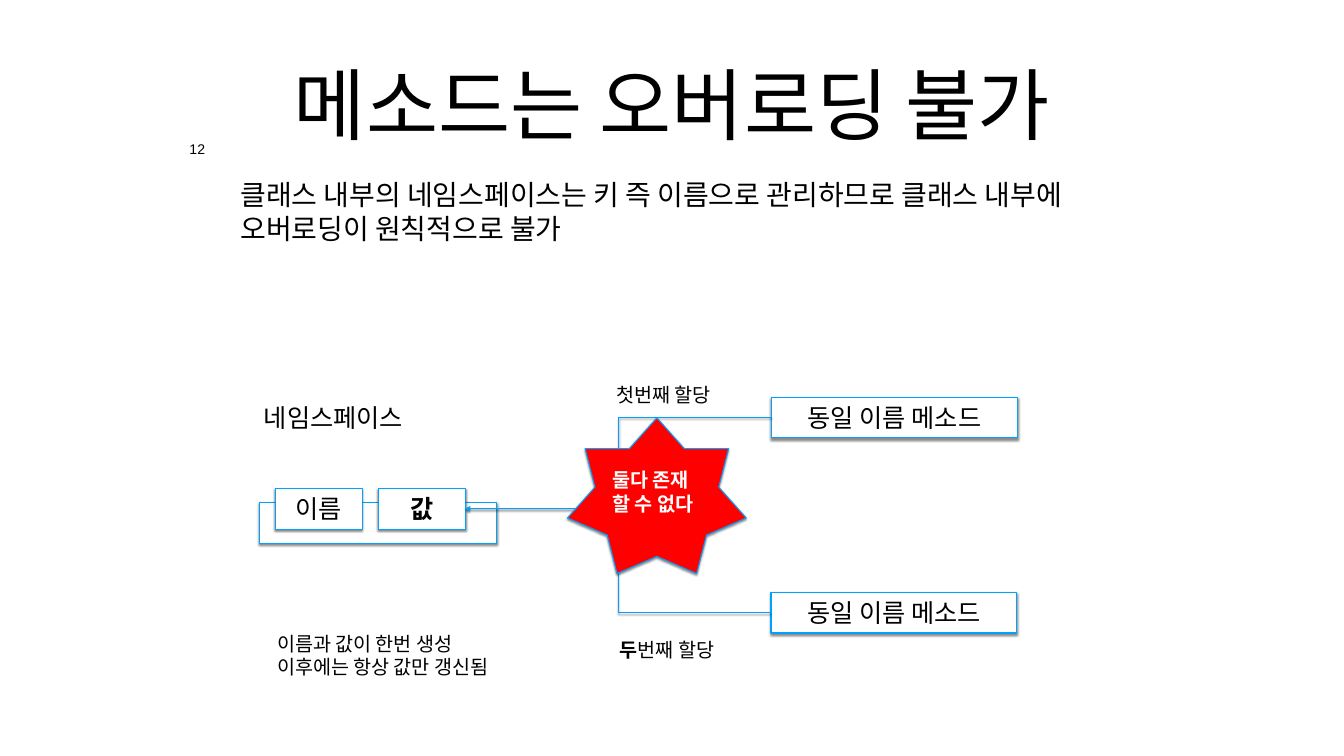
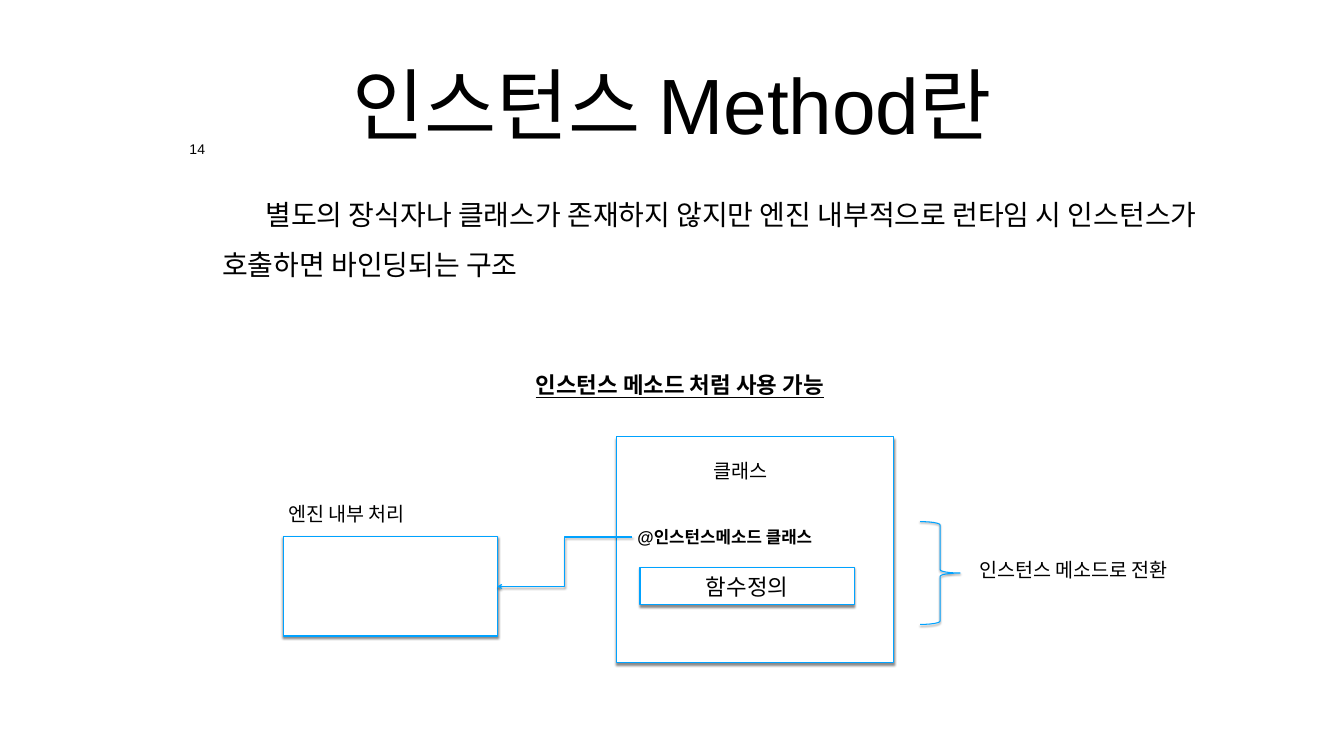
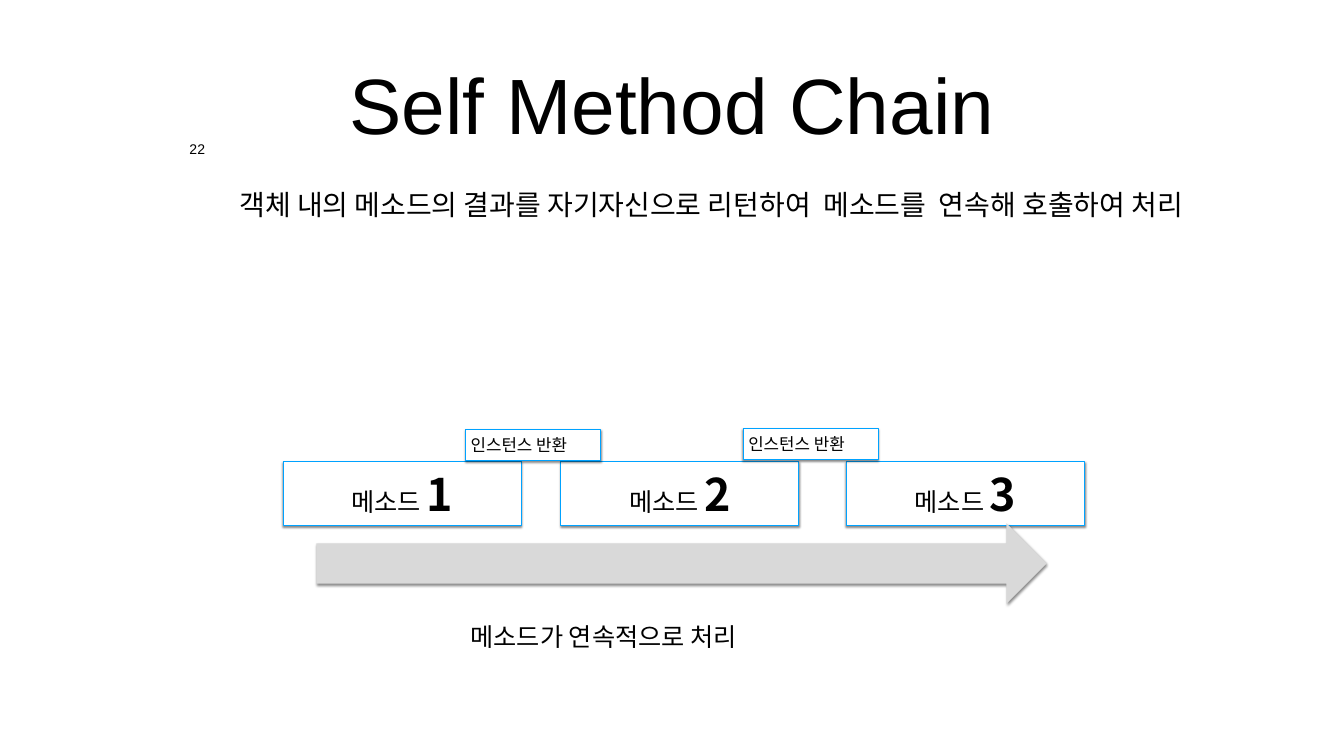
from lxml import etree
from pptx import Presentation
from pptx.dml.color import RGBColor
from pptx.enum.shapes import MSO_CONNECTOR, MSO_SHAPE as SHAPE
from pptx.enum.text import MSO_ANCHOR as ANCHOR, MSO_AUTO_SIZE as AUTO, PP_ALIGN as ALIGN
from pptx.oxml.ns import qn
from pptx.util import Inches, Pt

# Shared look
W, H = 26.67, 15
BLACK, WHITE, BLUE, RED, GREY = "000000", "FFFFFF", "00A2FF", "FF0000", "D9D9D9"
ARIAL, CJK, MONO = "Arial", "Noto Sans CJK KR", "Noto Sans Mono"
TITLE_BOX = (4.8, 0.39, 17.07, 3.32)
NUMBER_BOX = (3.68, 2.78, 0.47, 0.43)
TITLE_ONLY, TITLE_BODY = 5, 1

# Slide 1: same-named methods share one name slot
OVERLOAD = {
    "title": "메소드는 오버로딩 불가", "number": "12",
    "lead": "클래스 내부의 네임스페이스는 키 즉 이름으로 관리하므로 클래스 내부에 오버로딩이 원칙적으로 불가",
    "same_name": "동일 이름 메소드",
    "methods": [(15.31, 7.88), (15.3, 11.75)],
    "slots": [("이름", 5.46, False), ("값", 7.51, True)],
    "labels": [
        ("네임스페이스", (5.14, 7.88, 3.46, 0.81), 36),
        ("첫번째 할당", (12.13, 7.5, 2.83, 0.67), 28),
        ([("두", {"bold": True}), ("번째 할당", {})], (12.2, 12.56, 2.83, 0.67), 28),
        ("이름과 값이 한번 생성 이후에는 항상 값만 갱신됨", (5.4, 12.43, 4.43, 1.62), 28),
    ],
    "conflict": "둘다 존재 할 수 없다",
}

# Slide 2: how an instance method is bound
INSTANCE = {
    "title": "인스턴스 Method란", "number": "14",
    "body": "별도의 장식자나 클래스가 존재하지 않지만 엔진 내부적으로 런타임 시 인스턴스가 호출하면 바인딩되는 구조",
    "heading": "인스턴스 메소드 처럼 사용 가능",
    "engine": "엔진 내부 처리", "class": "클래스", "function": "함수정의",
    "decorator": "@인스턴스메소드 클래스", "result": "인스턴스 메소드로 전환",
}

# Slide 3: chained calls
CHAIN = {
    "title": "Self Method Chain", "number": "22",
    "body": "객체 내의 메소드의 결과를 자기자신으로 리턴하여  메소드를  연속해 호출하여 처리",
    "method": "메소드 ", "lefts": [5.62, 11.13, 16.8],
    "return": "인스턴스 반환", "return_tops": [8.52, 8.5],
    "caption": "메소드가 연속적으로 처리",
}


def rgb(color):
    return RGBColor.from_string(color)


def inches(box):
    return [Inches(v) for v in box]


def add_shadow(sp):
    effects = etree.SubElement(sp._element.spPr, qn("a:effectLst"))
    shadow = etree.SubElement(effects, qn("a:outerShdw"), blurRad=str(Pt(3)),
                              dist=str(Pt(2.4)), dir="5400000", rotWithShape="0")
    color = etree.SubElement(shadow, qn("a:srgbClr"), val=BLACK)
    etree.SubElement(color, qn("a:alpha"), val="45000")


def write(sp, text, size, font=ARIAL, color=BLACK, bold=False, underline=False,
          align=ALIGN.LEFT, anchor=ANCHOR.TOP, inset=(0.1, 0.1), wrap=True,
          grow=True, spacing=None, before=None):
    """Fill a shape with one paragraph; text is a string or (text, overrides) runs."""
    tf = sp.text_frame
    tf.word_wrap, tf.vertical_anchor = wrap, anchor
    tf.auto_size = AUTO.SHAPE_TO_FIT_TEXT if grow else AUTO.NONE
    tf.margin_left = tf.margin_right = Inches(inset[0])
    tf.margin_top = tf.margin_bottom = Inches(inset[1])
    p = tf.paragraphs[0]
    p.alignment = align
    if spacing:
        p.line_spacing = spacing
    if before is not None:
        p.space_before = Pt(before)
    f = p.font
    f.size, f.bold, f.underline, f.name = Pt(size), bold, underline, font
    f.color.rgb = rgb(color)
    etree.SubElement(p._p.pPr.find(qn("a:defRPr")), qn("a:ea"), typeface=CJK)
    for part, overrides in [(text, {})] if isinstance(text, str) else text:
        r = p.add_run()
        r.text = part
        for name, value in overrides.items():
            setattr(r.font, name, value)
    return p


def add_label(slide, text, box, size, **style):
    sp = slide.shapes.add_textbox(*inches(box))
    write(sp, text, size, **style)
    return sp


def add_box(slide, box, text=None, size=36, kind=SHAPE.RECTANGLE, fill=WHITE,
            line=BLUE, align=ALIGN.CENTER, **style):
    sp = slide.shapes.add_shape(kind, *inches(box))
    if fill:
        sp.fill.solid()
        sp.fill.fore_color.rgb = rgb(fill)
    else:
        sp.fill.background()
    if line:
        sp.line.color.rgb = rgb(line)
        sp.line.width = Pt(1.5)
    else:
        sp.line.fill.background()
    add_shadow(sp)
    if text:
        write(sp, text, size, align=align, anchor=ANCHOR.MIDDLE, **style)
    return sp


def add_arrow(slide, source, target):
    """Elbow arrow from the left side of source to the right side of target."""
    line = slide.shapes.add_connector(
        MSO_CONNECTOR.ELBOW, source.left, source.top + source.height // 2,
        target.left + target.width, target.top + target.height // 2)
    line.begin_connect(source, 1)
    line.end_connect(target, 3)
    line.line.color.rgb = rgb(BLUE)
    line.line.width = Pt(1.5)
    etree.SubElement(line.line._get_or_add_ln(), qn("a:tailEnd"), type="arrow")
    add_shadow(line)


def place(sp, box):
    sp.left, sp.top, sp.width, sp.height = inches(box)


def add_slide(prs, data, layout):
    slide = prs.slides.add_slide(prs.slide_layouts[layout])
    title = slide.shapes.title
    place(title, TITLE_BOX)
    write(title, data["title"], 112, align=ALIGN.CENTER, anchor=ANCHOR.MIDDLE,
          inset=(0.08, 0.08), grow=False)
    add_label(slide, data["number"], NUMBER_BOX, 20, align=ALIGN.CENTER,
              inset=(0.08, 0.08), wrap=False, spacing=0.8)
    return slide


def fill_body(slide, text, box, level=0, indent=0, **style):
    body = slide.placeholders[1]
    place(body, box)
    p = write(body, text, 40, inset=(0.08, 0.08), grow=False, **style)
    p.level = level
    pPr = p._p.pPr
    pPr.set("marL", "0")
    pPr.set("indent", str(Inches(indent)))
    pPr.find(qn("a:defRPr")).addprevious(etree.Element(qn("a:buNone")))


def build_overload(prs):
    d = OVERLOAD
    slide = add_slide(prs, d, TITLE_ONLY)
    add_label(slide, d["lead"], (4.67, 3.48, 17.48, 1.45), 40, font=CJK, inset=(0.1, 0.05))
    methods = [add_box(slide, (x, y, 4.88, 0.81), d["same_name"], font=CJK)
               for x, y in d["methods"]]
    # Namespace with its name and value slots
    add_box(slide, (5.14, 9.97, 4.72, 0.81))
    slots = [add_box(slide, (x, 9.69, 1.73, 0.81), text, bold=bold)
             for text, x, bold in d["slots"]]
    for text, box, size in d["labels"]:
        add_label(slide, text, box, size)
    for method in methods:
        add_arrow(slide, method, slots[-1])
    add_box(slide, (11.26, 8.29, 3.55, 3.09), d["conflict"], 28, SHAPE.STAR_7_POINT, RED,
            font=CJK, color=WHITE, bold=True, align=ALIGN.LEFT, grow=False)


def build_instance(prs):
    d = INSTANCE
    slide = add_slide(prs, d, TITLE_BODY)
    fill_body(slide, d["body"], (4.33, 3.5, 20.71, 3.37), level=1, indent=0.86,
              spacing=1.5, before=8)
    add_label(slide, d["heading"], (5.46, 7.27, 16.06, 0.74), 32, bold=True,
              underline=True, align=ALIGN.CENTER)
    # Engine
    engine = add_box(slide, (5.62, 10.65, 4.25, 1.97))
    add_label(slide, d["engine"], (5.62, 9.86, 4.41, 0.67), 28)
    # Class with its decorated function
    add_box(slide, (12.23, 8.67, 5.51, 4.48))
    add_label(slide, d["class"], (13.19, 9, 2.99, 0.67), 28, align=ALIGN.CENTER)
    add_box(slide, (12.7, 11.26, 4.25, 0.74), d["function"], 32, font=MONO)
    decorator = add_label(slide, d["decorator"], (12.55, 10.35, 4.88, 0.61), 24, bold=True)
    add_arrow(slide, decorator, engine)
    # Result
    add_box(slide, (18.26, 10.35, 0.79, 2.04), kind=SHAPE.RIGHT_BRACE, fill=None)
    add_label(slide, d["result"], (19.33, 10.96, 6.28, 0.67), 28)


def build_chain(prs):
    d = CHAIN
    slide = add_slide(prs, d, TITLE_BODY)
    fill_body(slide, d["body"], (4.67, 3.5, 21.12, 2.27), spacing=1.2, before=6)
    for i, x in enumerate(d["lefts"], 1):
        runs = [(d["method"], {}), (str(i), {"size": Pt(64), "bold": True})]
        add_box(slide, (x, 9.15, 4.72, 1.28), runs, font=CJK)
    add_box(slide, (6.28, 10.38, 14.49, 1.6), kind=SHAPE.RIGHT_ARROW, fill=GREY, line=None)
    add_label(slide, d["caption"], (9.24, 12.22, 9.29, 0.81), 36, font=CJK)
    # Return tags straddle the gaps between methods
    for x, y in zip(d["lefts"], d["return_tops"]):
        add_box(slide, (x + 3.62, y, 2.68, 0.61), d["return"], 24, align=ALIGN.LEFT)


def main():
    prs = Presentation()
    prs.slide_width, prs.slide_height = Inches(W), Inches(H)
    for build in (build_overload, build_instance, build_chain):
        build(prs)
    prs.save("out.pptx")


if __name__ == "__main__":
    main()
